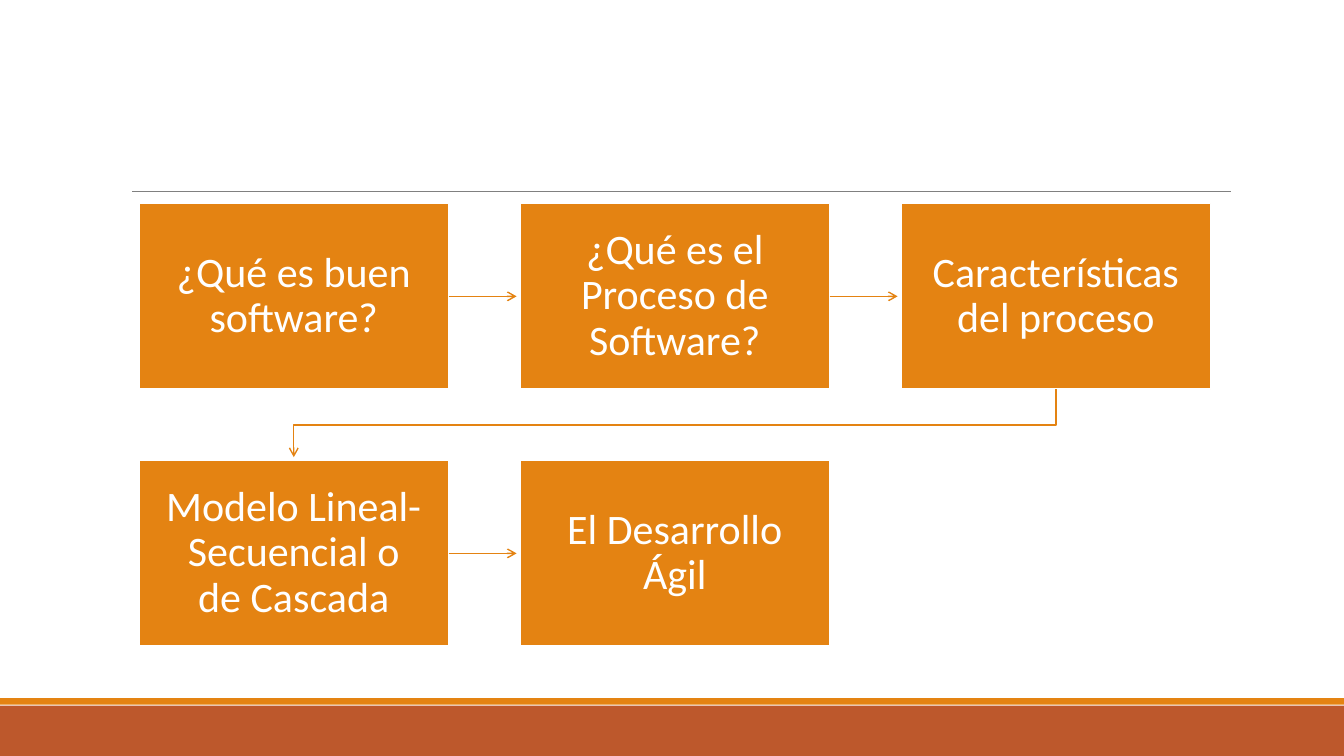
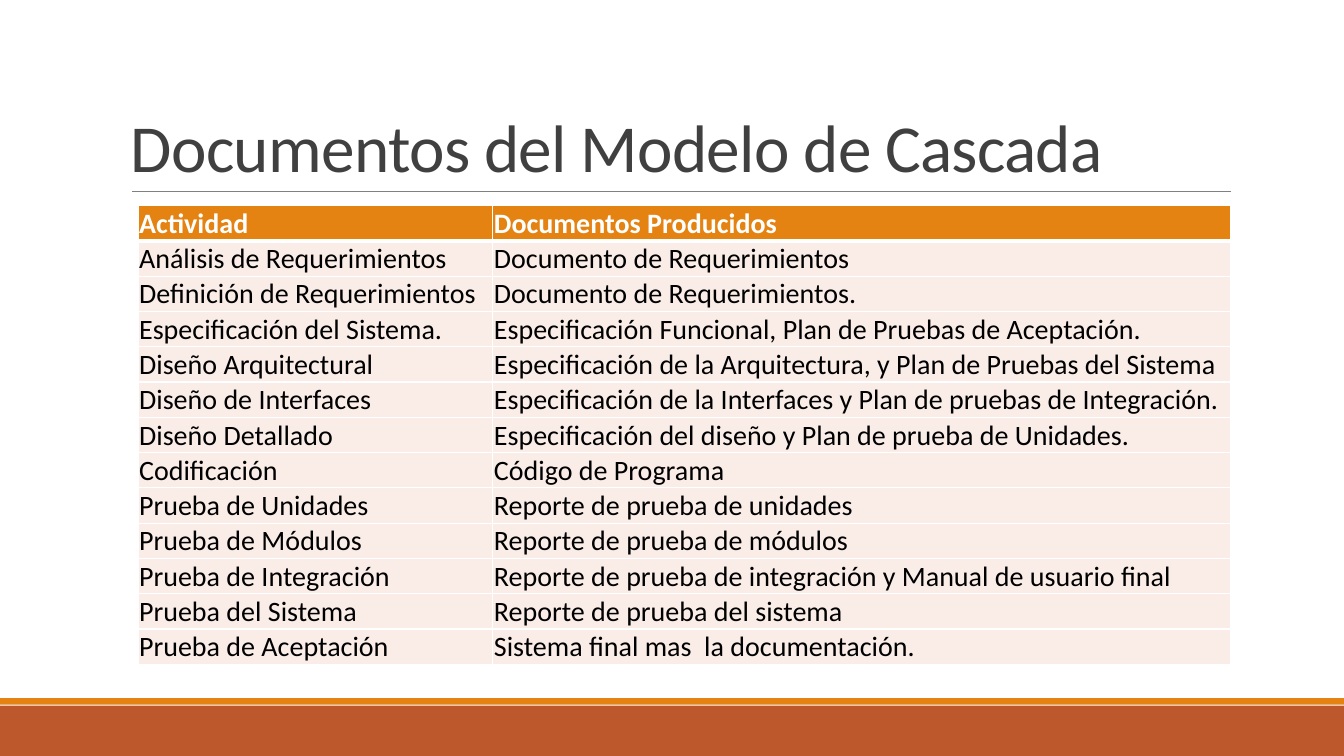
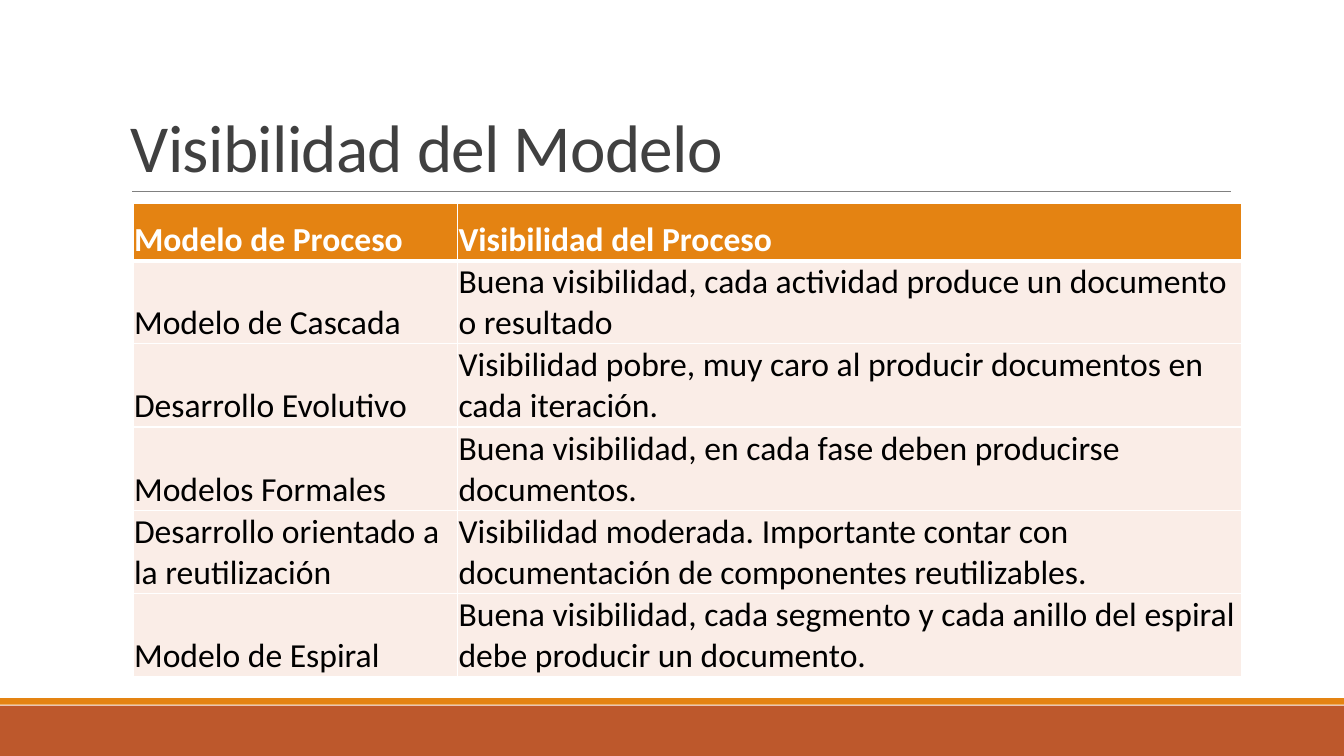
from pptx import Presentation
from pptx.dml.color import RGBColor
from pptx.enum.shapes import MSO_CONNECTOR, MSO_SHAPE
from pptx.enum.text import MSO_ANCHOR, PP_ALIGN
from pptx.oxml.ns import qn
from pptx.util import Emu, Inches, Pt
from lxml.etree import SubElement

# Content
STAGES = [
    "¿Qué es buen software?",
    "¿Qué es el Proceso de Software?",
    "Características del proceso",
    "Modelo Lineal-Secuencial o de Cascada",
    "El Desarrollo Ágil",
]
DOCUMENTS = [
    ("Actividad", "Documentos Producidos"),
    ("Análisis de Requerimientos", "Documento de Requerimientos"),
    ("Definición de Requerimientos", "Documento de Requerimientos."),
    ("Especificación del Sistema.", "Especificación Funcional, Plan de Pruebas de Aceptación."),
    ("Diseño Arquitectural", "Especificación de la Arquitectura, y Plan de Pruebas del Sistema"),
    ("Diseño de Interfaces", "Especificación de la Interfaces y Plan de pruebas de Integración."),
    ("Diseño Detallado", "Especificación del diseño y Plan de prueba de Unidades."),
    ("Codificación", "Código de Programa"),
    ("Prueba de Unidades", "Reporte de prueba de unidades"),
    ("Prueba de Módulos", "Reporte de prueba de módulos"),
    ("Prueba de Integración", "Reporte de prueba de integración y Manual de usuario final"),
    ("Prueba del Sistema", "Reporte de prueba del sistema"),
    ("Prueba de Aceptación", "Sistema final mas  la documentación."),
]
VISIBILITY = [
    ("Modelo de Proceso", "Visibilidad del Proceso"),
    ("Modelo de Cascada", "Buena visibilidad, cada actividad produce un documento o resultado"),
    ("Desarrollo Evolutivo",
     "Visibilidad pobre, muy caro al producir documentos en cada iteración."),
    ("Modelos Formales", "Buena visibilidad, en cada fase deben producirse documentos."),
    ("Desarrollo orientado a la reutilización",
     "Visibilidad moderada. Importante contar con documentación de componentes reutilizables."),
    ("Modelo de Espiral",
     "Buena visibilidad, cada segmento y cada anillo del espiral debe producir un documento."),
]


def color(value):
    return RGBColor.from_string(value)


class Designer:
    """Holds the style and the current slide; lengths are cells of a 160 x 90 grid."""

    COLUMNS, ROWS = 160, 90
    FONT = "Calibri"
    ORANGE, RUST, PALE = "E48312", "BD582C", "FAEDE7"
    GREY, DARK, WHITE, BLACK = "808080", "404040", "FFFFFF", "000000"

    def __init__(self, deck):
        self.deck = deck
        self.slide = None

    def grid(self, *lengths):
        """Turn alternating horizontal and vertical grid lengths into EMU."""
        units = (self.deck.slide_width / self.COLUMNS, self.deck.slide_height / self.ROWS)
        return [Emu(round(length * units[i % 2])) for i, length in enumerate(lengths)]

    # Shared slide frame
    def new_slide(self, title=None):
        self.slide = self.deck.slides.add_slide(self.deck.slide_layouts[6])
        self.rectangle(0, 84, 160, 6, self.RUST)
        self.rectangle(0, 83.1, 160, 0.8, self.ORANGE)
        self.line((15.72, 22.8), (146.52, 22.8), self.GREY, 0.5)
        if title:
            self.title(title)

    def title(self, text):
        box = self.slide.shapes.add_textbox(*self.grid(14.4, 3.72, 132, 19.08))
        frame = box.text_frame
        frame.word_wrap = True
        frame.vertical_anchor = MSO_ANCHOR.BOTTOM
        frame.text = text
        para = frame.paragraphs[0]
        para.line_spacing = 0.85
        self.style(para, 48, self.DARK)
        for span in para.runs:
            span.font._element.set("spc", "-50")

    def style(self, para, size, hex_color, bold=False):
        for span in para.runs:
            font = span.font
            font.name, font.size, font.bold = self.FONT, Pt(size), bold
            font.color.rgb = color(hex_color)

    # Shapes
    def rectangle(self, left, top, width, height, fill):
        box = self.slide.shapes.add_shape(
            MSO_SHAPE.RECTANGLE, *self.grid(left, top, width, height))
        box.shadow.inherit = False
        box.fill.solid()
        box.fill.fore_color.rgb = color(fill)
        box.line.fill.background()
        return box

    def stage(self, left, top, width, height, text):
        box = self.rectangle(left, top, width, height, self.ORANGE)
        box.line.color.rgb = color(self.WHITE)
        box.line.width = Pt(1.25)
        frame = box.text_frame
        frame.word_wrap = True
        frame.vertical_anchor = MSO_ANCHOR.MIDDLE
        frame.margin_left = frame.margin_right = Inches(0.23)
        frame.margin_top = frame.margin_bottom = Inches(0.23)
        frame.text = text
        para = frame.paragraphs[0]
        para.alignment = PP_ALIGN.CENTER
        para.line_spacing = 0.9
        self.style(para, 30, self.WHITE)
        return box

    # Lines and arrows
    def line(self, start, end, hex_color, width):
        connector = self.slide.shapes.add_connector(
            MSO_CONNECTOR.STRAIGHT, *self.grid(*start, *end))
        connector.line.color.rgb = color(hex_color)
        connector.line.width = Pt(width)
        SubElement(connector._element.spPr, qn("a:effectLst"))
        return connector

    def add_head(self, shape):
        SubElement(shape.line._get_or_add_ln(), qn("a:tailEnd"), type="arrow")

    def arrow(self, start, end, source):
        connector = self.line(start, end, self.ORANGE, 1)
        connector.begin_connect(source, 3)
        self.add_head(connector)

    def bent_arrow(self, points):
        start, *others = [self.grid(*point) for point in points]
        builder = self.slide.shapes.build_freeform(*start)
        builder.add_line_segments(others, close=False)
        bend = builder.convert_to_shape()
        bend.shadow.inherit = False
        bend.fill.background()
        bend.line.color.rgb = color(self.ORANGE)
        bend.line.width = Pt(1)
        self.add_head(bend)

    # Tables
    def border(self, cell, **widths):
        properties = cell._tc.get_or_add_tcPr()
        for side in "LRTB":
            edge = SubElement(properties, qn("a:ln" + side),
                              w=str(Pt(widths.get(side, 1))))
            SubElement(SubElement(edge, qn("a:solidFill")), qn("a:srgbClr"), val=self.WHITE)

    def table(self, left, top, columns, header_height, row_height, rows, size):
        heights = [header_height] + [row_height] * (len(rows) - 1)
        table = self.slide.shapes.add_table(
            len(rows), len(columns), *self.grid(left, top, sum(columns), sum(heights))).table
        table.horz_banding = False
        for column, width in zip(table.columns, columns):
            column.width = self.grid(width)[0]
        for r, texts in enumerate(rows):
            table.rows[r].height = self.grid(0, heights[r])[1]
            for c, text in enumerate(texts):
                self.cell(table.cell(r, c), text, size, r)

    def cell(self, cell, text, size, row):
        header = row == 0
        self.border(cell, B=3 if header else 1, T=3 if row == 1 else 1)
        cell.fill.solid()
        cell.fill.fore_color.rgb = color(self.ORANGE if header else self.PALE)
        cell.margin_left = cell.margin_right = cell.margin_top = Inches(0.01)
        cell.margin_bottom = 0
        cell.vertical_anchor = MSO_ANCHOR.BOTTOM
        cell.text_frame.text = text
        self.style(cell.text_frame.paragraphs[0], size,
                   self.WHITE if header else self.BLACK, header)

    # Process laid out in rows of three stages
    def process(self, stages, per_row=3):
        left, top, width, height = 16.56, 24.24, 36.84, 22.08
        step_x, step_y, reach = 45.36, 30.6, 8.1
        for i, text in enumerate(stages):
            row, column = divmod(i, per_row)
            x, y = left + column * step_x, top + row * step_y
            box = self.stage(x, y, width, height, text)
            if i == len(stages) - 1:
                continue
            if column < per_row - 1:
                middle = y + height / 2
                self.arrow((x + width, middle), (x + width + reach, middle), box)
            else:
                bottom, turn = y + height, y + (height + step_y) / 2
                from_x, to_x = x + width / 2, left + width / 2
                self.bent_arrow([(from_x, bottom), (from_x, turn),
                                 (to_x, turn), (to_x, bottom + reach)])


def main():
    deck = Presentation()
    deck.slide_width, deck.slide_height = Inches(13.33), Inches(7.5)
    designer = Designer(deck)

    # Process overview
    designer.new_slide()
    designer.process(STAGES)

    # Documents of each activity
    designer.new_slide("Documentos del Modelo de Cascada")
    designer.table(16.44, 24.48, (42.24, 87.84), 4.2, 4.2, DOCUMENTS, 20)

    # Visibility of each model
    designer.new_slide("Visibilidad del Modelo")
    designer.table(15.84, 24.2, (38.64, 93.36), 6.84, 9.9, VISIBILITY, 24)

    deck.save("out.pptx")


if __name__ == "__main__":
    main()
